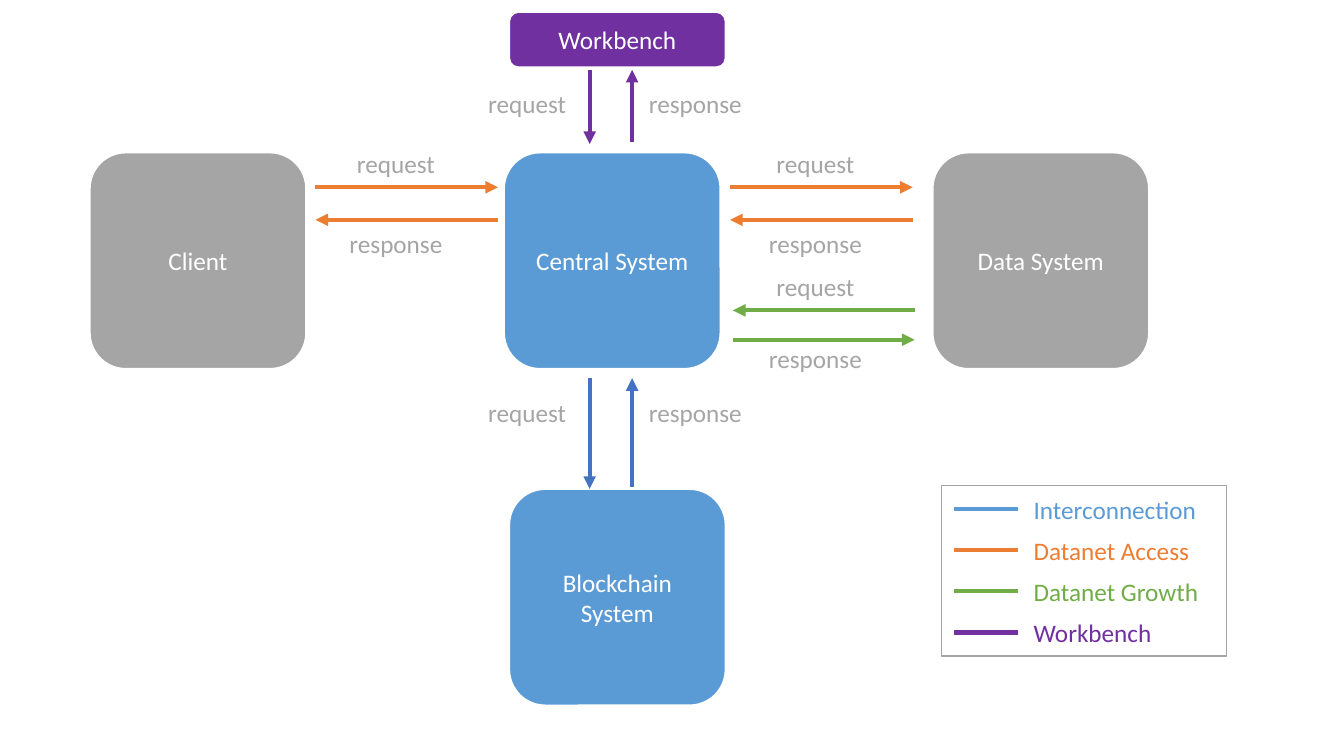
from lxml.etree import SubElement
from pptx import Presentation
from pptx.dml.color import RGBColor
from pptx.enum.shapes import MSO_CONNECTOR, MSO_SHAPE
from pptx.enum.text import MSO_ANCHOR, PP_ALIGN
from pptx.oxml.ns import qn
from pptx.util import Cm, Pt

WHITE, GRAY = "FFFFFF", "A5A5A5"
LIGHT_BLUE, BLUE = "5B9BD5", "4472C4"
ORANGE, GREEN, PURPLE = "ED7D31", "70AD47", "7030A0"
SYSTEM_SIZE = 5.46
CAPTION_HEIGHT = 1.02


def paint(color_owner, color):
    """Set a fill or font to a hex colour."""
    if hasattr(color_owner, "solid"):
        color_owner.solid()
        color_owner = color_owner.fore_color
    else:
        color_owner = color_owner.color
    color_owner.rgb = RGBColor.from_string(color)


def write(frame, wording, color, align):
    """Put one 18 pt paragraph into a text frame."""
    paragraph = frame.paragraphs[0]
    paragraph.text = wording
    paragraph.alignment = align
    font = paragraph.runs[0].font
    font.name, font.size = "Calibri", Pt(18)
    paint(font, color)


def add_caption(slide, wording, left, top, width, color=GRAY, align=PP_ALIGN.CENTER):
    """Add a one-line label."""
    caption = slide.shapes.add_textbox(Cm(left), Cm(top), Cm(width), Cm(CAPTION_HEIGHT))
    caption.text_frame.word_wrap = False
    write(caption.text_frame, wording, color, align)


def add_line(slide, start, end, color, arrow=True):
    """Draw a 3 pt line between two points, with an arrowhead at its end."""
    link = slide.shapes.add_connector(
        MSO_CONNECTOR.STRAIGHT, Cm(start[0]), Cm(start[1]), Cm(end[0]), Cm(end[1]))
    link.line.width = Pt(3)
    paint(link.line.fill, color)
    if arrow:
        SubElement(link.get_or_add_ln(), qn("a:tailEnd"), type="triangle")
    SubElement(link._element.spPr, qn("a:effectLst"))


def add_system(slide, wording, left, top, color, height=SYSTEM_SIZE):
    """Add a rounded block for one system."""
    system = slide.shapes.add_shape(
        MSO_SHAPE.ROUNDED_RECTANGLE, Cm(left), Cm(top), Cm(SYSTEM_SIZE), Cm(height))
    system.shadow.inherit = False
    paint(system.fill, color)
    paint(system.line.fill, WHITE)
    system.line.width = Pt(1.5)
    system.text_frame.word_wrap = True
    system.text_frame.vertical_anchor = MSO_ANCHOR.MIDDLE
    write(system.text_frame, wording, WHITE, PP_ALIGN.CENTER)


def add_side_exchange(slide, left, top, width, height, gap, caption_center, color,
                      to_right=True):
    """Add a horizontal request above its response, captions outside the arrows."""
    request_y = top + 1.11
    response_y = request_y + gap
    near, far = (left, left + width) if to_right else (left + width, left)
    add_line(slide, (near, request_y), (far, request_y), color)
    add_line(slide, (far, response_y), (near, response_y), color)
    caption_left = left + caption_center - 1.44
    add_caption(slide, "request", caption_left, top, 2.88)
    add_caption(slide, "response", caption_left, top + height - CAPTION_HEIGHT, 2.88)


def add_upright_exchange(slide, left, top, height, color):
    """Add a downward request beside an upward response."""
    request_x, response_x = left + 2.82, left + 3.89
    add_line(slide, (request_x, top), (request_x, top + height), color)
    add_line(slide, (response_x, top + height - 0.05), (response_x, top), color)
    add_caption(slide, "request", left, top + 0.35, 2.49)
    add_caption(slide, "response", left + 4.05, top + 0.35, 2.87)


def add_legend(slide, left, top, width, height):
    """Add the framed key to the arrow colours."""
    frame = slide.shapes.add_shape(
        MSO_SHAPE.RECTANGLE, Cm(left), Cm(top), Cm(width), Cm(height))
    frame.shadow.inherit = False
    frame.fill.background()
    paint(frame.line.fill, GRAY)
    frame.line.width = Pt(1)
    meanings = [("Interconnection", LIGHT_BLUE), ("Datanet Access", ORANGE),
                ("Datanet Growth", GREEN), ("Workbench", PURPLE)]
    for row, (meaning, color) in enumerate(meanings):
        y = top + 0.58 + row * 1.04
        add_line(slide, (left + 0.33, y), (left + 1.93, y), color, arrow=False)
        add_caption(slide, meaning, left + 2.08, y - 0.5, 4.7, color, PP_ALIGN.LEFT)


def build_slide(deck):
    """Place the systems, their exchanges and the legend."""
    slide = deck.slides.add_slide(deck.slide_layouts[6])
    add_system(slide, "Client", 2.26, 3.84, GRAY)
    add_system(slide, "Central System", 12.7, 3.84, LIGHT_BLUE)
    add_system(slide, "Data System", 23.5, 3.84, GRAY)
    add_system(slide, "Blockchain System", 12.83, 12.32, LIGHT_BLUE)
    add_system(slide, "Workbench", 12.83, 0.3, PURPLE, height=1.4)

    add_side_exchange(slide, 7.95, 3.61, 4.6, 3.05, 0.82, 2.03, ORANGE)
    add_side_exchange(slide, 18.4, 3.61, 4.6, 3.05, 0.82, 2.15, ORANGE)
    add_side_exchange(slide, 18.47, 6.71, 4.58, 2.84, 0.74, 2.08, GREEN, to_right=False)
    add_upright_exchange(slide, 12.04, 1.76, 1.87, PURPLE)
    add_upright_exchange(slide, 12.04, 9.53, 2.79, BLUE)
    add_legend(slide, 23.72, 12.24, 7.19, 4.29)


deck = Presentation()
deck.slide_width, deck.slide_height = Cm(33.87), Cm(19.05)
build_slide(deck)
deck.save("out.pptx")
